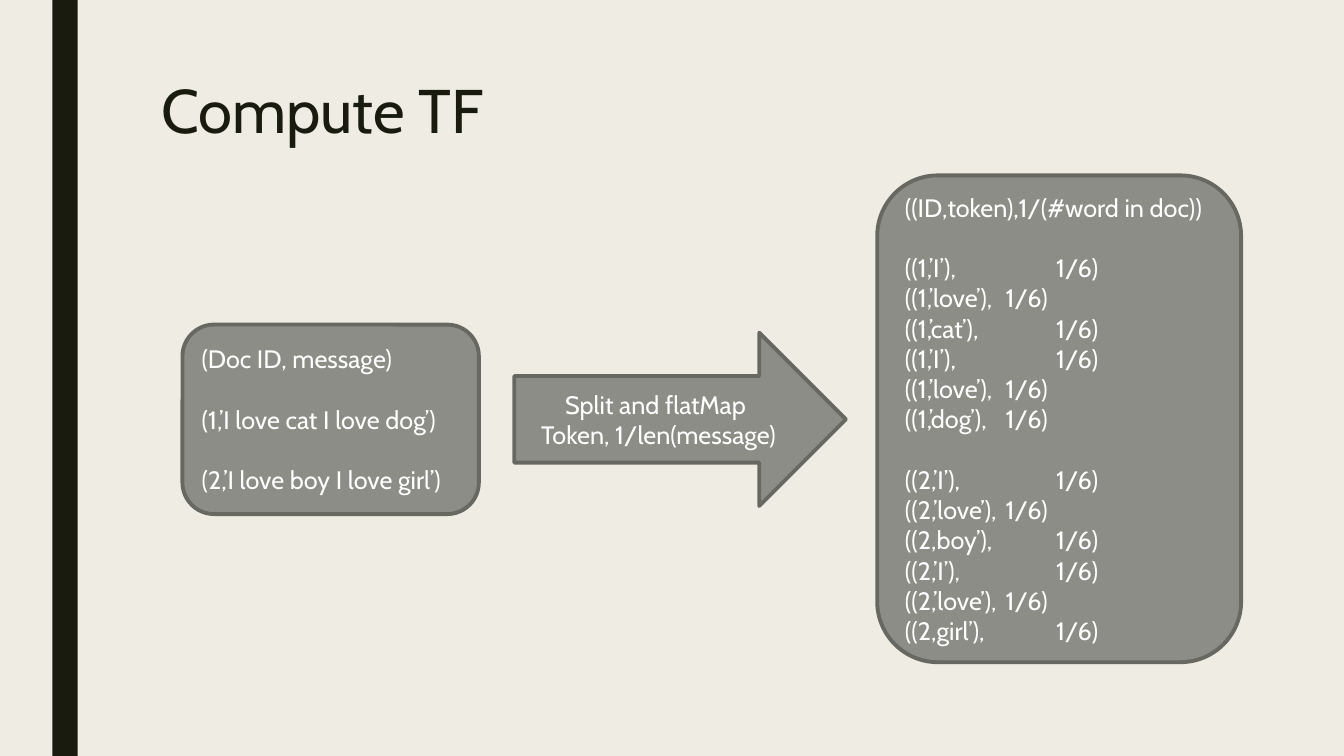
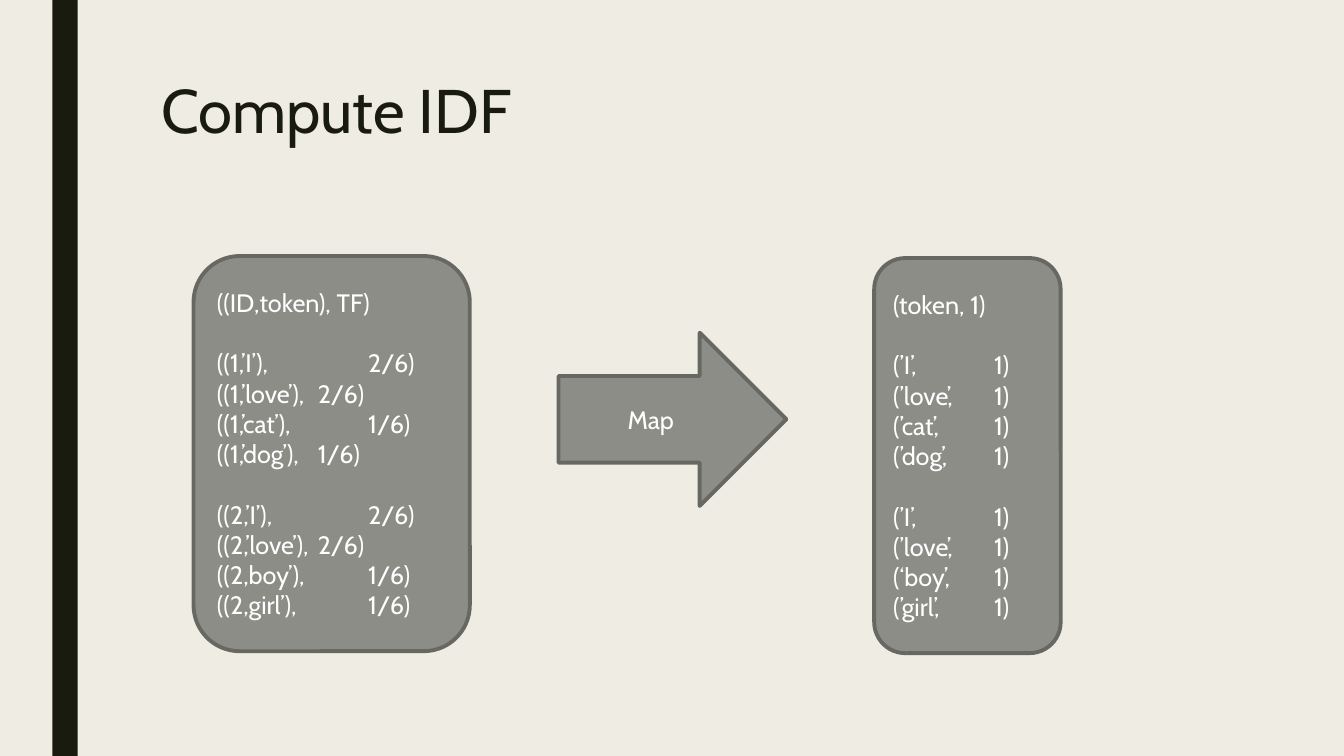
from pptx import Presentation
from pptx.dml.color import RGBColor
from pptx.enum.shapes import MSO_SHAPE
from pptx.enum.text import MSO_ANCHOR, MSO_AUTO_SIZE, PP_ALIGN
from pptx.util import Inches, Pt

RECTANGLE = MSO_SHAPE.RECTANGLE
ROUNDED = MSO_SHAPE.ROUNDED_RECTANGLE
RIGHT_ARROW = MSO_SHAPE.RIGHT_ARROW
LEFT, CENTER = PP_ALIGN.LEFT, PP_ALIGN.CENTER
TOP, MIDDLE = MSO_ANCHOR.TOP, MSO_ANCHOR.MIDDLE
NO_AUTOFIT = MSO_AUTO_SIZE.NONE
TITLE_ONLY = 5


def color(hex_code):
    return RGBColor.from_string(hex_code)


class Deck:
    FONT = "Cabin"
    PAPER, INK, WHITE = "EFEDE3", "191B0E", "FFFFFF"
    PANEL, OUTLINE = "8C8D86", "686863"
    GROUP_GAP = Pt(21.6)

    def __init__(self):
        self.presentation = Presentation()
        self.presentation.slide_width = Inches(13.33)
        self.presentation.slide_height = Inches(7.5)
        background = self.presentation.slide_master.background.fill
        background.solid()
        background.fore_color.rgb = color(self.PAPER)
        self.slide = None

    def add_slide(self, title):
        layout = self.presentation.slide_layouts[TITLE_ONLY]
        self.slide = self.presentation.slides.add_slide(layout)
        self.add_filled(RECTANGLE, (0.52, 0, 0.25, 7.5), self.INK)
        self.add_title(title)

    def add_title(self, text):
        heading = self.slide.shapes.title
        heading.left, heading.top = Inches(1.5), Inches(0.75)
        heading.width, heading.height = Inches(10.5), Inches(1.62)
        frame = heading.text_frame
        frame.auto_size = NO_AUTOFIT
        frame.vertical_anchor = TOP
        paragraph = frame.paragraphs[0]
        paragraph.line_spacing = 0.89
        self.add_text(paragraph, text, 44, self.INK, LEFT)

    def add_filled(self, preset, box, fill):
        shape = self.slide.shapes.add_shape(preset, *map(Inches, box))
        shape.shadow.inherit = False
        shape.fill.solid()
        shape.fill.fore_color.rgb = color(fill)
        shape.line.fill.background()
        return shape

    def add_panel(self, preset, box, groups, align):
        """Draw an outlined shape holding groups of lines, set apart by a gap."""
        panel = self.add_filled(preset, box, self.PANEL)
        panel.line.color.rgb = color(self.OUTLINE)
        panel.line.width = Pt(2.75)
        frame = panel.text_frame
        frame.word_wrap = True
        frame.vertical_anchor = MIDDLE
        paragraph = None
        for group in groups:
            for position, line in enumerate(group):
                if paragraph is None:
                    paragraph = frame.paragraphs[0]
                else:
                    paragraph = frame.add_paragraph()
                    if position == 0:
                        paragraph.space_before = self.GROUP_GAP
                self.add_text(paragraph, line, 18, self.WHITE, align)

    def add_records(self, box, *groups):
        self.add_panel(ROUNDED, box, groups, LEFT)

    def add_step(self, left, width, *lines):
        self.add_panel(RIGHT_ARROW, (left, 3.3, width, 1.72), [lines], CENTER)

    def add_text(self, paragraph, text, size, text_color, align):
        paragraph.alignment = align
        run = paragraph.add_run()
        run.text = text
        run.font.name = self.FONT
        run.font.size = Pt(size)
        run.font.color.rgb = color(text_color)


def build_tf(deck):
    deck.add_slide("Compute TF")
    deck.add_records(
        (1.81, 3.22, 2.94, 1.88),
        ["(Doc ID, message)"],
        ["(1,’I love cat I love dog’)"],
        ["(2,’I love boy I love girl’)"],
    )
    deck.add_step(5.1, 3.29, "Split and flatMap ", "Token, 1/len(message)")
    deck.add_records(
        (8.7, 1.74, 3.61, 4.83),
        ["((ID,token),1/(#word in doc))"],
        [
            "((1,’I’), \t\t1/6)",
            "((1,’love’), \t1/6)",
            "((1,’cat’), \t\t1/6)",
            "((1,’I’), \t\t1/6)",
            "((1,’love’), \t1/6)",
            "((1,’dog’), \t1/6)",
        ],
        [
            "((2,’I’), \t\t1/6)",
            "((2,’love’), \t1/6)",
            "((2,boy’), \t\t1/6)",
            "((2,’I’), \t\t1/6)",
            "((2,’love’), \t1/6)",
            "((2,girl’), \t\t1/6)",
        ],
    )


def build_idf(deck):
    deck.add_slide("Compute IDF")
    deck.add_records(
        (1.92, 2.54, 2.74, 3.92),
        ["((ID,token), TF)"],
        [
            "((1,’I’), \t\t2/6)",
            "((1,’love’), \t2/6)",
            "((1,’cat’), \t\t1/6)",
            "((1,’dog’), \t1/6)",
        ],
        [
            "((2,’I’), \t\t2/6)",
            "((2,’love’), \t2/6)",
            "((2,boy’), \t\t1/6)",
            "((2,girl’), \t\t1/6)",
        ],
    )
    deck.add_step(5.54, 2.26, "Map")
    deck.add_records(
        (8.67, 2.56, 1.85, 3.92),
        ["(token, 1)"],
        ["(’I’, \t\t1)", "(’love’, \t1)", "(’cat’, \t1)", "(’dog’, \t1)"],
        ["(’I’, \t\t1)", "(’love’, \t1)", "(‘boy’, \t1)", "(’girl’, \t1)"],
    )


def main():
    deck = Deck()
    build_tf(deck)
    build_idf(deck)
    deck.presentation.save("out.pptx")


if __name__ == "__main__":
    main()
